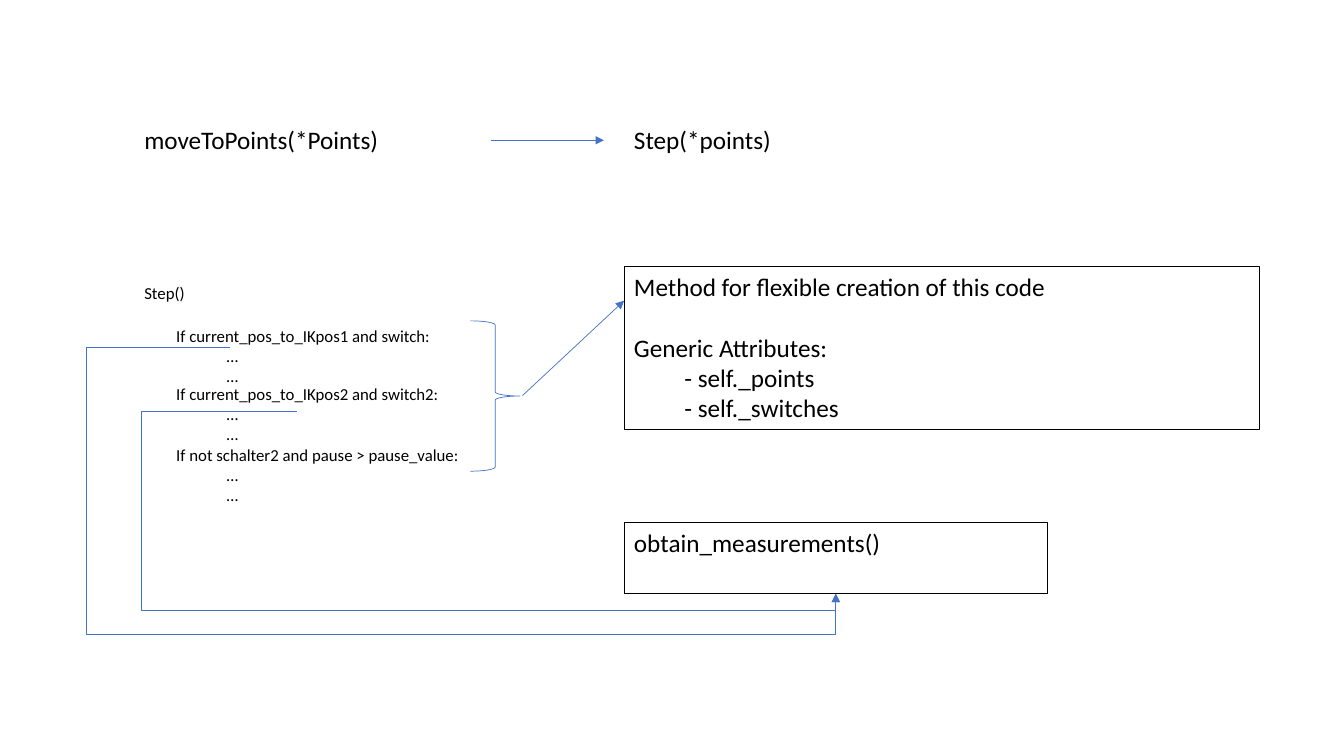
from lxml.etree import SubElement
from pptx import Presentation
from pptx.dml.color import RGBColor
from pptx.enum.shapes import MSO_CONNECTOR, MSO_SHAPE
from pptx.enum.text import MSO_ANCHOR, PP_ALIGN
from pptx.oxml.ns import qn
from pptx.util import Inches, Pt

C = {"text": "000000", "flow": "4472C4"}

prs = Presentation()
prs.slide_width, prs.slide_height = Inches(13.333), Inches(7.5)
s = prs.slides.add_slide(prs.slide_layouts[6])
unit = prs.slide_width / 160


def write(sp, lines, size):
    tf = sp.text_frame
    tf.word_wrap = True
    tf.vertical_anchor = MSO_ANCHOR.TOP
    tf.text = "\n".join(lines)
    for p in tf.paragraphs:
        p.alignment = PP_ALIGN.LEFT
        p.font.size = Pt(size)
        p.font.name = "Calibri"
        p.font.color.rgb = RGBColor.from_string(C["text"])


def arrow(kind, *ends):
    cn = s.shapes.add_connector(kind, *(int(v * unit) for v in ends))
    cn.line.color.rgb = RGBColor.from_string(C["flow"])
    cn.line.width = Pt(0.5)
    SubElement(cn.line._get_or_add_ln(), qn("a:tailEnd"), type="triangle")
    SubElement(cn._element.spPr, qn("a:effectLst"))
    return cn


body = ["\t…", "\t…"]
texts = [
    (16, 14.2, 40, 4.8, 18, ["moveToPoints(*Points)"]),
    (74.3, 14.2, 40, 4.8, 18, ["Step(*points)"]),
    (16, 33.1, 33.8, 3.6, 12, ["Step()"]),
    (19.8, 38.2, 50.5, 8.5, 12, ["If current_pos_to_IKpos1 and switch:"] + body),
    (19.8, 45.1, 56.3, 8.5, 12, ["If current_pos_to_IKpos2 and switch2:"] + body),
    (19.8, 52.3, 56.3, 8.5, 12, ["If not schalter2 and pause > pause_value:"] + body),
]
for *box, size, lines in texts:
    write(s.shapes.add_textbox(*(int(v * unit) for v in box)), lines, size)

method = ["Method for flexible creation of this code", "Generic Attributes:",
          "\t- self._points", "\t- self._switches"]
shapes = [
    (MSO_SHAPE.RIGHT_BRACE, 56, 38.2, 5.9, 17.9, "flow", 0.5, []),
    (MSO_SHAPE.RECTANGLE, 74.3, 31.7, 75.6, 19.4, "text", 0.75, method),
    (MSO_SHAPE.RECTANGLE, 74.3, 62.2, 50.4, 8.5, "text", 0.75, ["obtain_measurements()"]),
]
for kind, *box, color, width, lines in shapes:
    sp = s.shapes.add_shape(kind, *(int(v * unit) for v in box))
    sp.shadow.inherit = False
    sp.fill.background()
    sp.line.color.rgb = RGBColor.from_string(C[color])
    sp.line.width = Pt(width)
    if lines:
        write(sp, lines, 18)
    if lines == method:
        sp.text_frame.paragraphs[1].space_before = Pt(22)

arrow(MSO_CONNECTOR.STRAIGHT, 58.4, 16.7, 71.9, 16.7)
arrow(MSO_CONNECTOR.STRAIGHT, 62.2, 47.1, 74.3, 35.8)

end_x, end_y = 99.5, 70.7
for x, y, left, bottom in [(27.4, 41.4, 10.3, 75.5), (35.3, 49, 16.8, 72.7)]:
    cn = arrow(MSO_CONNECTOR.ELBOW, x, y, end_x, end_y)
    geom = cn._element.spPr.find(qn("a:prstGeom"))
    geom.set("prst", "bentConnector4")
    av = geom.find(qn("a:avLst"))
    if av is None:
        av = SubElement(geom, qn("a:avLst"))
    bends = [(left - x) / (end_x - x), (bottom - y) / (end_y - y)]
    for i, bend in enumerate(bends, 1):
        SubElement(av, qn("a:gd"), name=f"adj{i}", fmla=f"val {round(bend * 100000)}")

prs.save("out.pptx")
